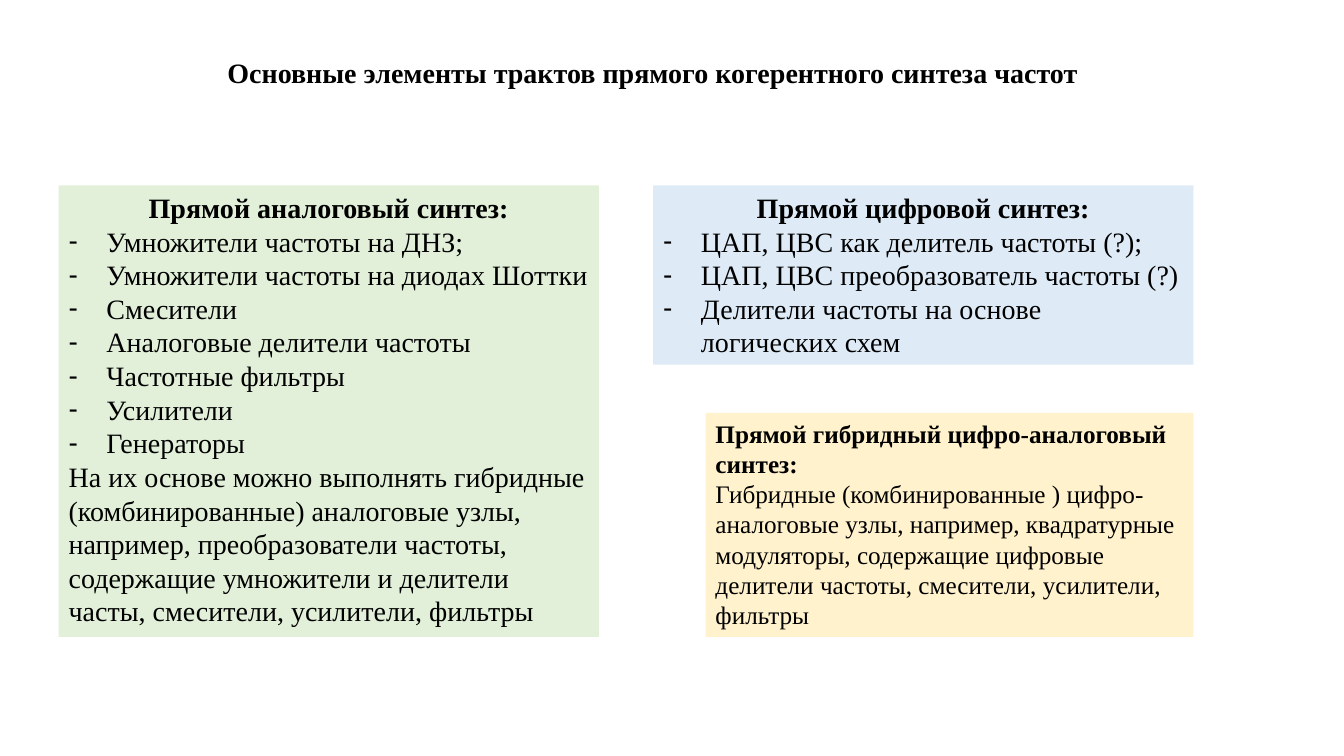
from dataclasses import dataclass

import pptx
import pptx.dml.color
import pptx.enum.text
import pptx.oxml.ns
import pptx.util
from lxml import etree

Pt = pptx.util.Pt
Align = pptx.enum.text.PP_ALIGN

FONT = "Times New Roman"
COLORS = {
    "text": "000000",
    "analog": "E2F0D9",
    "digital": "DEEBF7",
    "hybrid": "FFF2CC",
}
BULLET_INDENT = 27
PANEL_TOP = 132.5
PANEL_WIDTH = 386


@dataclass(frozen=True)
class Panel:
    color: str
    left: float
    top: float
    width: float
    height: float
    heading: str
    heading_align: Align
    bullets: tuple[str, ...] = ()
    note: str = ""
    size: float = 20


TITLE = "Основные элементы трактов прямого когерентного синтеза частот"

LIST_PANELS = (
    Panel(
        "analog", 41.8, PANEL_TOP, PANEL_WIDTH, 322.5,
        "Прямой аналоговый синтез:", Align.CENTER,
        (
            "Умножители частоты на ДНЗ;",
            "Умножители частоты на диодах Шоттки",
            "Смесители",
            "Аналоговые делители частоты",
            "Частотные фильтры",
            "Усилители",
            "Генераторы",
        ),
        "На их основе можно выполнять гибридные (комбинированные) аналоговые узлы, "
        "например, преобразователи частоты, содержащие умножители и делители часты, "
        "смесители, усилители, фильтры",
    ),
    Panel(
        "digital", 466.5, PANEL_TOP, PANEL_WIDTH, 128,
        "Прямой цифровой синтез:", Align.CENTER,
        (
            "ЦАП, ЦВС как делитель частоты (?);",
            "ЦАП, ЦВС преобразователь частоты (?)",
            "Делители частоты на основе логических схем",
        ),
    ),
)

HYBRID_PANEL = Panel(
    "hybrid", 504, 295, 348.5, 160,
    "Прямой гибридный цифро-аналоговый синтез:", Align.LEFT,
    note="Гибридные (комбинированные ) цифро-аналоговые узлы, например, квадратурные "
    "модуляторы, содержащие цифровые делители частоты, смесители, усилители, фильтры",
    size=18,
)


def rgb(name: str) -> pptx.dml.color.RGBColor:
    return pptx.dml.color.RGBColor.from_string(COLORS[name])


def place(shape, left: float, top: float, width: float, height: float) -> None:
    shape.left, shape.top = Pt(left), Pt(top)
    shape.width, shape.height = Pt(width), Pt(height)


def prepare_frame(shape, anchor) -> None:
    frame = shape.text_frame
    frame.word_wrap = True
    frame.auto_size = pptx.enum.text.MSO_AUTO_SIZE.NONE
    frame.vertical_anchor = anchor


def set_bullet(paragraph, bulleted: bool) -> None:
    properties = paragraph._p.get_or_add_pPr()
    indent = Pt(BULLET_INDENT) if bulleted else 0
    properties.set("marL", str(indent))
    properties.set("indent", str(-indent))
    if bulleted:
        etree.SubElement(properties, pptx.oxml.ns.qn("a:buFontTx"))
        etree.SubElement(properties, pptx.oxml.ns.qn("a:buChar")).set("char", "-")
    else:
        etree.SubElement(properties, pptx.oxml.ns.qn("a:buNone"))


def write(paragraph, text: str, size: float, bold: bool, align: Align) -> None:
    paragraph.text = text
    paragraph.alignment = align
    paragraph.space_before = Pt(0)
    for run in paragraph.runs:
        run.font.name = FONT
        run.font.size = Pt(size)
        run.font.bold = bold
        run.font.color.rgb = rgb("text")


def fill_panel(shape, panel: Panel) -> None:
    place(shape, panel.left, panel.top, panel.width, panel.height)
    shape.fill.solid()
    shape.fill.fore_color.rgb = rgb(panel.color)
    prepare_frame(shape, pptx.enum.text.MSO_ANCHOR.TOP)
    frame = shape.text_frame
    heading = frame.paragraphs[0]
    set_bullet(heading, False)
    write(heading, panel.heading, panel.size, True, panel.heading_align)
    lines = [(text, True) for text in panel.bullets]
    if panel.note:
        lines.append((panel.note, False))
    for text, bulleted in lines:
        paragraph = frame.add_paragraph()
        set_bullet(paragraph, bulleted)
        write(paragraph, text, panel.size, False, Align.LEFT)


def main() -> None:
    presentation = pptx.Presentation()
    presentation.slide_width, presentation.slide_height = Pt(960), Pt(540)
    slide = presentation.slides.add_slide(presentation.slide_layouts[3])

    title = slide.shapes.title
    place(title, 139, 36, 654.5, 31.5)
    prepare_frame(title, pptx.enum.text.MSO_ANCHOR.TOP)
    write(title.text_frame.paragraphs[0], TITLE, 20, True, Align.CENTER)

    for index, panel in enumerate(LIST_PANELS, start=1):
        fill_panel(slide.placeholders[index], panel)

    hybrid = slide.shapes.add_textbox(Pt(0), Pt(0), Pt(0), Pt(0))
    fill_panel(hybrid, HYBRID_PANEL)

    presentation.save("out.pptx")


if __name__ == "__main__":
    main()
